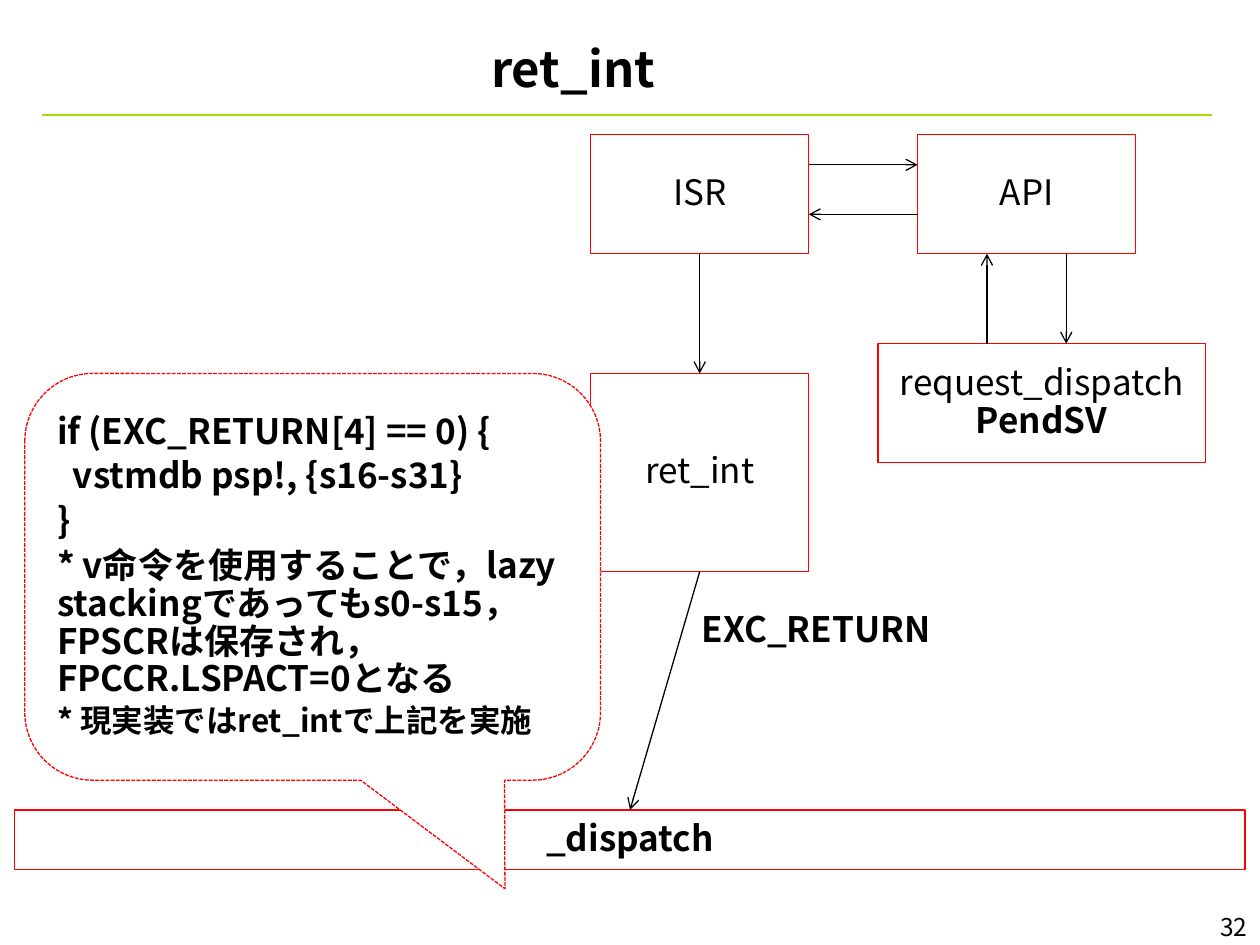
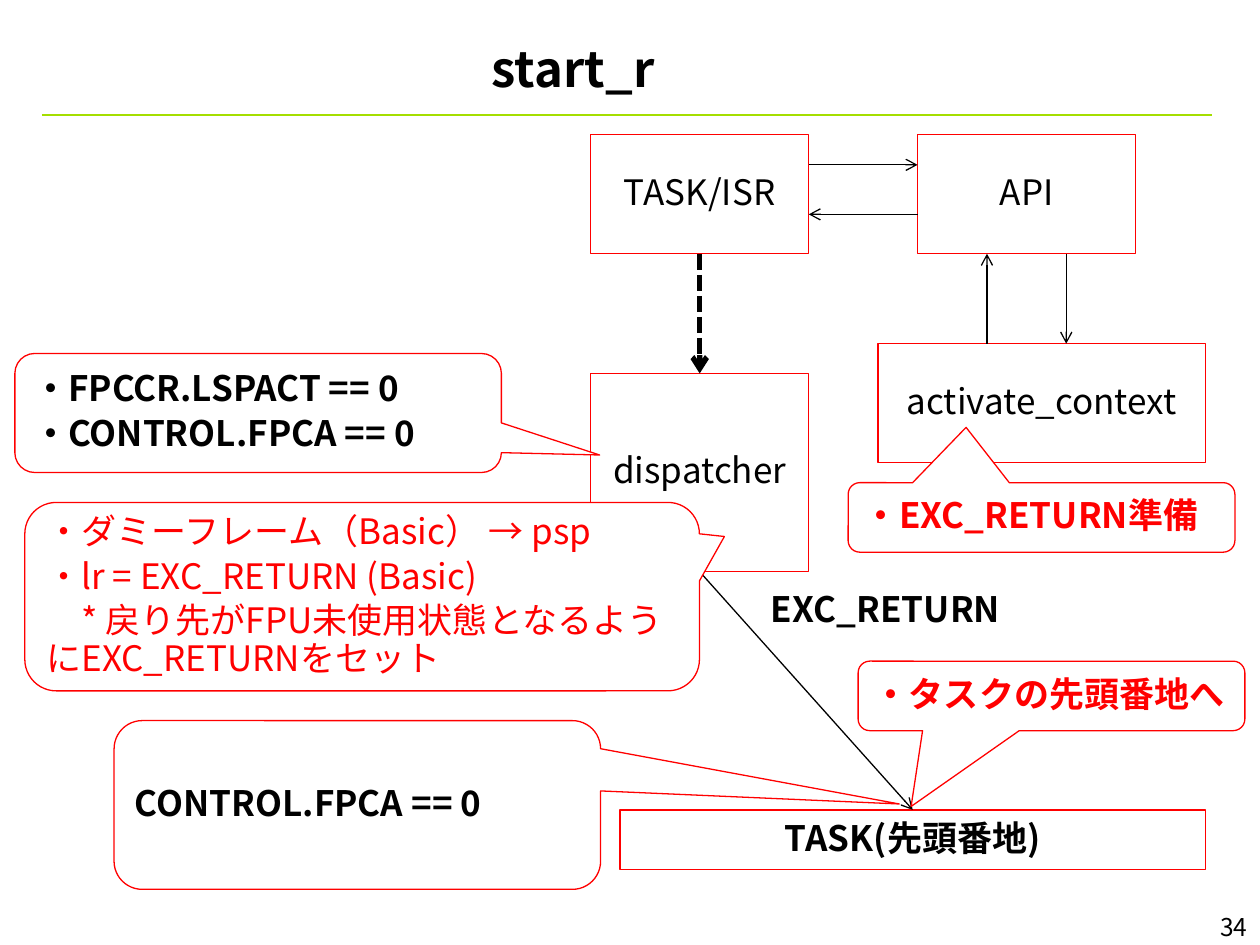
from dataclasses import dataclass

from lxml import etree
from pptx import Presentation
from pptx import util as u
from pptx.dml import color as rgb
from pptx.enum import dml, shapes, text
from pptx.oxml import ns


@dataclass(frozen=True)
class Theme:
    font: str = "Noto Sans CJK JP"
    ink: str = "000000"
    red: str = "FF0000"
    rule: str = "A4DE00"
    paper: str = "FFFFFF"
    title: float = 28
    body: float = 20
    note: float = 18
    number: float = 14
    thin: float = 0.75
    rule_width: float = 1.5
    heavy: float = 3


THEME = Theme()


@dataclass(frozen=True)
class Rect:
    """An area of the slide, in points."""
    left: float
    top: float
    width: float
    height: float

    @property
    def right(self) -> float:
        return self.left + self.width

    @property
    def bottom(self) -> float:
        return self.top + self.height

    def lengths(self) -> list[u.Pt]:
        return [u.Pt(v) for v in (self.left, self.top, self.width, self.height)]


@dataclass(frozen=True)
class Line:
    """One paragraph; indent shifts its first line, in points."""
    text: str
    bold: bool = False
    color: str = THEME.ink
    size: float = THEME.body
    indent: float = 0


@dataclass(frozen=True)
class Callout:
    area: Rect
    tip: tuple[float, float]
    lines: tuple[Line, ...]
    dashed: bool = False


@dataclass(frozen=True)
class CallFlow:
    """The calls between caller, API and kernel, ending in a target."""
    caller: str
    request: str
    handler: str
    target: str
    target_area: Rect
    label_at: tuple[float, float]
    deferred: bool = False


TITLE = Rect(16.5, 15, 622, 40)
NUMBER = Rect(660, 517.5, 60, 24)
RULE = (24, 65.7, 692.7, 65.7)
CALLER = Rect(337.5, 77, 124.7, 68)
API = Rect(524.3, 77, 124.7, 68)
REQUEST = Rect(501.7, 196.4, 187, 68)
HANDLER = Rect(337.5, 213.4, 124.7, 113.3)
CALL_Y, RETURN_Y = 94.2, 122.5
REQUEST_DOWN_X, REQUEST_UP_X = 609.3, 564


def write_lines(shape, lines: tuple[Line, ...], align=text.PP_ALIGN.LEFT,
                line_spacing: float = 0.9) -> None:
    frame = shape.text_frame
    frame.text = "\n".join(line.text for line in lines)
    for index, (paragraph, line) in enumerate(zip(frame.paragraphs, lines)):
        paragraph.alignment = align
        paragraph.line_spacing = line_spacing
        if index:
            paragraph.space_before = u.Pt(0.2 * line.size)
        if line.indent:
            paragraph._p.get_or_add_pPr().set("indent", str(u.Pt(line.indent)))
        for run in paragraph.runs:
            run.font.size = u.Pt(line.size)
            run.font.bold = line.bold
            run.font.color.rgb = rgb.RGBColor.from_string(line.color)
            run.font.name = THEME.font
            east_asian = etree.SubElement(run._r.get_or_add_rPr(), ns.qn("a:ea"))
            east_asian.set("typeface", THEME.font)


def add_text(slide, area: Rect, line: Line, align=text.PP_ALIGN.LEFT,
             wrap: bool = True):
    shape = slide.shapes.add_textbox(*area.lengths())
    shape.text_frame.word_wrap = wrap
    write_lines(shape, (line,), align, 1)
    return shape


def add_panel(slide, kind, area: Rect):
    """Add a red-outlined shape with its text in the middle."""
    shape = slide.shapes.add_shape(kind, *area.lengths())
    shape.shadow.inherit = False
    shape.line.color.rgb = rgb.RGBColor.from_string(THEME.red)
    shape.line.width = u.Pt(THEME.thin)
    shape.text_frame.word_wrap = True
    shape.text_frame.vertical_anchor = text.MSO_ANCHOR.MIDDLE
    return shape


def add_box(slide, area: Rect, label: str, bold: bool = False):
    shape = add_panel(slide, shapes.MSO_SHAPE.RECTANGLE, area)
    shape.fill.background()
    write_lines(shape, (Line(label, bold),), text.PP_ALIGN.CENTER)
    return shape


def add_callout(slide, callout: Callout) -> None:
    shape = add_panel(slide, shapes.MSO_SHAPE.ROUNDED_RECTANGULAR_CALLOUT, callout.area)
    shape.adjustments[0], shape.adjustments[1] = callout.tip
    shape.fill.solid()
    shape.fill.fore_color.rgb = rgb.RGBColor.from_string(THEME.paper)
    if callout.dashed:
        shape.line.dash_style = dml.MSO_LINE.SQUARE_DOT
    write_lines(shape, callout.lines)


def add_line(slide, ends: tuple[float, float, float, float],
             color: str = THEME.ink, width: float = THEME.thin):
    connector = slide.shapes.add_connector(
        shapes.MSO_CONNECTOR.STRAIGHT, *(u.Pt(v) for v in ends))
    connector.line.color.rgb = rgb.RGBColor.from_string(color)
    connector.line.width = u.Pt(width)
    etree.SubElement(connector._element.spPr, ns.qn("a:effectLst"))
    return connector


def add_arrow(slide, ends: tuple[float, float, float, float],
              width: float = THEME.thin, dashed: bool = False):
    connector = add_line(slide, ends, width=width)
    if dashed:
        connector.line.dash_style = dml.MSO_LINE.SQUARE_DOT
    etree.SubElement(connector.line._get_or_add_ln(), ns.qn("a:tailEnd")).set("type", "arrow")
    return connector


def join_down(slide, upper, lower, width: float = THEME.thin,
              dashed: bool = False) -> None:
    """Point from the bottom middle of one box to the top middle of another."""
    connector = add_arrow(slide, (0, 0, 0, 0), width, dashed)
    connector.begin_connect(upper, 2)
    connector.end_connect(lower, 0)


def add_page(presentation, title: str, number: int):
    slide = presentation.slides.add_slide(presentation.slide_layouts[6])
    add_line(slide, RULE, THEME.rule, THEME.rule_width)
    add_text(slide, NUMBER, Line(str(number), size=THEME.number), text.PP_ALIGN.RIGHT)
    heading = add_text(slide, TITLE, Line(title, True, size=THEME.title),
                       text.PP_ALIGN.CENTER)
    heading.text_frame.margin_top = u.Pt(11.5)
    heading.text_frame.vertical_anchor = text.MSO_ANCHOR.MIDDLE
    return slide


def add_call_flow(slide, flow: CallFlow) -> None:
    target = add_box(slide, flow.target_area, flow.target, True)
    caller = add_box(slide, CALLER, flow.caller)
    add_box(slide, API, "API")
    request = add_box(slide, REQUEST, flow.request)
    for run in request.text_frame.paragraphs[0].runs[1:]:
        run.font.bold = True
    handler = add_box(slide, HANDLER, flow.handler)

    add_arrow(slide, (CALLER.right, CALL_Y, API.left, CALL_Y))
    add_arrow(slide, (API.left, RETURN_Y, CALLER.right, RETURN_Y))
    add_arrow(slide, (REQUEST_DOWN_X, API.bottom, REQUEST_DOWN_X, REQUEST.top))
    add_arrow(slide, (REQUEST_UP_X, REQUEST.top, REQUEST_UP_X, API.bottom))
    join_down(slide, caller, handler,
              THEME.heavy if flow.deferred else THEME.thin, flow.deferred)
    join_down(slide, handler, target)

    label = add_text(slide, Rect(*flow.label_at, 164, 31.5),
                     Line("EXC_RETURN", True), wrap=False)
    label.text_frame.auto_size = text.MSO_AUTO_SIZE.SHAPE_TO_FIT_TEXT


RET_INT_FLOW = CallFlow("ISR", "request_dispatch\vPendSV", "ret_int", "_dispatch",
                        Rect(8.5, 462.8, 703, 34), (393.8, 343.5))
RET_INT_CALLOUTS = (
    Callout(Rect(14.2, 213.4, 329, 232.4), (0.334, 0.767), (
        Line("if (EXC_RETURN[4] == 0) {", True),
        Line("  vstmdb psp!, {s16-s31}", True),
        Line("}", True),
        Line("* v命令を使用することで，lazy stackingであってもs0-s15，"
             "FPSCRは保存され，FPCCR.LSPACT=0となる", True),
        Line("* 現実装ではret_intで上記を実施", True, size=THEME.note),
    ), dashed=True),
)

START_R_FLOW = CallFlow("TASK/ISR", "activate_context", "dispatcher", "TASK(先頭番地)",
                        Rect(354.3, 462.8, 334.6, 34), (433.5, 332.3), deferred=True)
START_R_CALLOUTS = (
    Callout(Rect(490.4, 377.8, 221, 39.7), (-0.363, 1.591),
            (Line("・タスクの先頭番地へ", True, THEME.red),)),
    Callout(Rect(484.7, 275.8, 221, 39.7), (-0.195, -1.296),
            (Line("・EXC_RETURN準備", True, THEME.red),)),
    Callout(Rect(65.2, 411.8, 278, 96.4), (1.114, -0.006),
            (Line("CONTROL.FPCA == 0", True),)),
    Callout(Rect(14.2, 287.1, 385.5, 107.7), (0.537, -0.319), (
        Line("・ダミーフレーム（Basic） → psp", color=THEME.red),
        Line("・lr = EXC_RETURN (Basic)", color=THEME.red),
        Line("* 戻り先がFPU未使用状態となるようにEXC_RETURNをセット",
             color=THEME.red, indent=THEME.body),
    )),
    Callout(Rect(8.5, 202, 278, 68), (0.702, 0.353), (
        Line("・FPCCR.LSPACT == 0", True),
        Line("・CONTROL.FPCA == 0", True),
    )),
)


def main() -> None:
    presentation = Presentation()
    presentation.slide_width, presentation.slide_height = u.Pt(720), u.Pt(540)
    for title, number, flow, callouts in (
        ("ret_int", 32, RET_INT_FLOW, RET_INT_CALLOUTS),
        ("start_r", 34, START_R_FLOW, START_R_CALLOUTS),
    ):
        slide = add_page(presentation, title, number)
        add_call_flow(slide, flow)
        for callout in callouts:
            add_callout(slide, callout)
    presentation.save("out.pptx")


if __name__ == "__main__":
    main()
